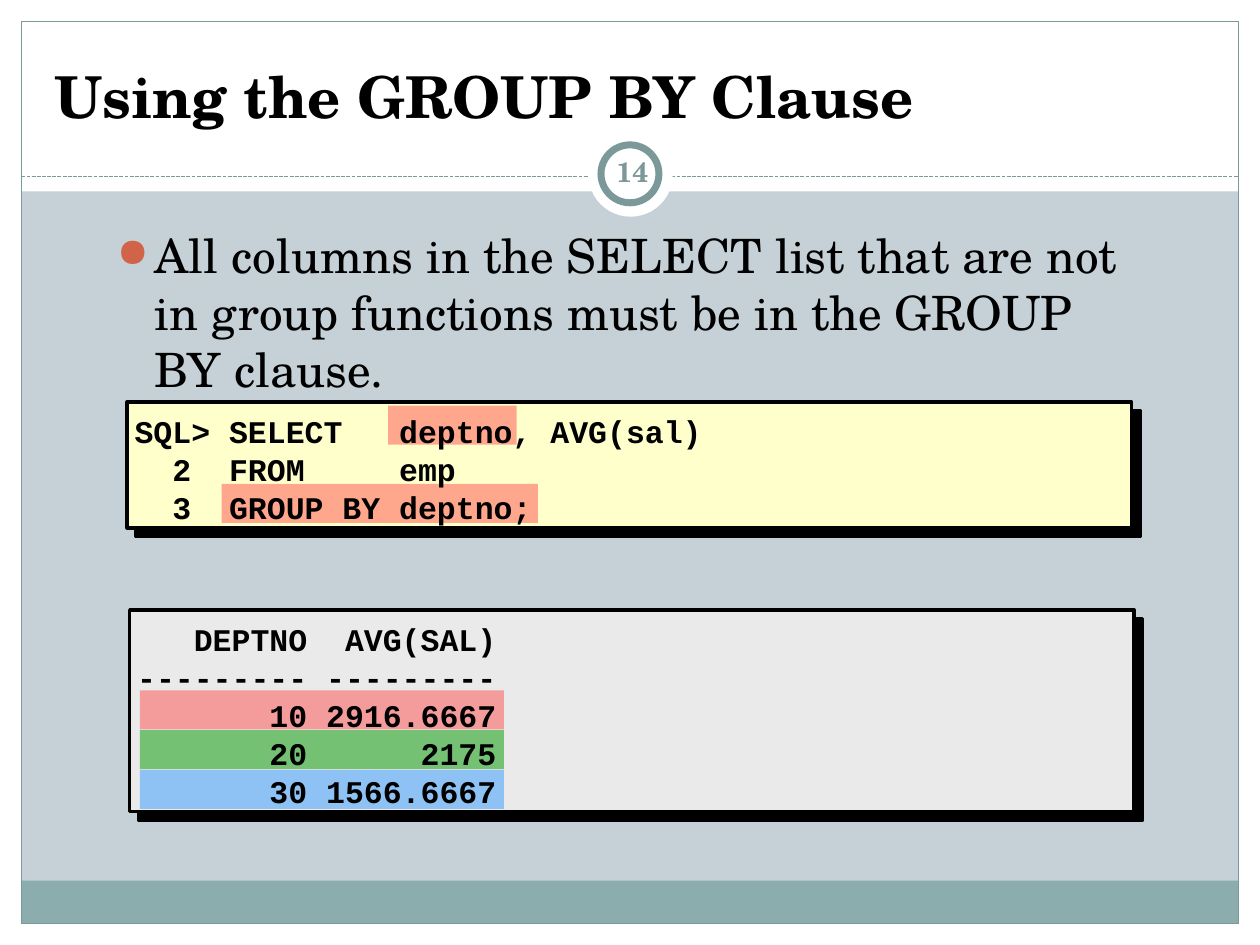
from lxml.etree import SubElement as Sub
from pptx import Presentation
from pptx.dml.color import RGBColor as Rgb
from pptx.enum.dml import MSO_LINE as Dash
from pptx.enum.shapes import MSO_CONNECTOR as Wire, MSO_SHAPE as Kind
from pptx.enum.text import MSO_ANCHOR as Anchor, MSO_AUTO_SIZE as Fit, PP_ALIGN as Align
from pptx.oxml.ns import qn
from pptx.util import Inches, Pt

COLS, ROWS = 10, 7.5
CELL = Inches(1)
SERIF, MONO = "TeX Gyre Schola", "Courier New"
HUES = {
    "back": "C5D1D7", "white": "FFFFFF", "black": "000000", "teal": "8CADAE",
    "edge": "7C999A", "dot": "D16349", "cream": "FFFFCC", "grey": "EAEAEA",
    "red": "FF5050", "green": "009900", "blue": "3399FF",
}


def hue(name):
    """Return the named colour."""
    return Rgb.from_string(HUES[name])


def span(*cells):
    """Turn grid cells into slide lengths."""
    return [int(cell * CELL) for cell in cells]


def block(slide, box, fill=None, line=None, width=1, kind=Kind.RECTANGLE):
    """Add a flat shape with an optional fill and outline."""
    shape = slide.shapes.add_shape(kind, *span(*box))
    shape.shadow.inherit = False
    if fill:
        shape.fill.solid()
        shape.fill.fore_color.rgb = hue(fill)
    else:
        shape.fill.background()
    if line:
        shape.line.color.rgb = hue(line)
        shape.line.width = Pt(width)
    else:
        shape.line.fill.background()
    return shape


def write(shape, text, size, font=SERIF, color="black", bold=False,
          anchor=Anchor.TOP, align=Align.LEFT, wrap=True):
    """Set the text of a shape and format its runs."""
    frame = shape.text_frame
    frame.text = text
    frame.word_wrap = wrap
    frame.auto_size = Fit.NONE
    frame.vertical_anchor = anchor
    for para in frame.paragraphs:
        para.alignment = align
        for run in para.runs:
            run.font.name, run.font.size, run.font.bold = font, Pt(size), bold
            run.font.color.rgb = hue(color)
    return frame


def backdrop(slide, edge):
    """Draw the white margins, the foot band, the border and the rule."""
    wide, high = COLS - 2 * edge, ROWS - 2 * edge
    for box in ((0, ROWS - edge, COLS, edge), (0, 0, COLS, 1.52),
                (0, 0, edge, ROWS), (COLS - edge, 0, edge, ROWS)):
        block(slide, box, "white")
    block(slide, (edge, 6.99, wide, 0.34), "teal")
    block(slide, (edge, edge, wide, high), line="edge", width=0.75)
    rule = slide.shapes.add_connector(Wire.STRAIGHT, *span(edge, 1.4, COLS - edge, 1.4))
    rule.line.color.rgb = hue("edge")
    rule.line.width = Pt(0.75)
    rule.line.dash_style = Dash.SQUARE_DOT
    Sub(rule._element.spPr, qn("a:effectLst"))


def badge(slide, box, number):
    """Draw the ringed page number."""
    left, top, wide, high = box
    block(slide, box, "white", kind=Kind.OVAL)
    block(slide, (left + 0.1, top + 0.1, wide - 0.21, high - 0.21),
          "white", "edge", 4, Kind.OVAL)
    label = slide.shapes.add_textbox(*span(left + 0.1, top + 0.07, 0.5, 0.48))
    frame = write(label, number, 16, color="edge", bold=True,
                  anchor=Anchor.MIDDLE, align=Align.CENTER)
    frame.margin_left = frame.margin_right = Inches(0.05)


def heading(slide, box, text):
    """Place the title in front of the backdrop."""
    title = slide.shapes.title
    title.left, title.top, title.width, title.height = span(*box)
    write(title, text, 33, bold=True, anchor=Anchor.BOTTOM)
    slide.shapes._spTree.append(title._element)


def bullet(slide, box, text):
    """Add one bulleted paragraph."""
    frame = write(slide.shapes.add_textbox(*span(*box)), text, 27)
    props = frame.paragraphs[0]._p.get_or_add_pPr()
    props.set("marL", str(Inches(0.3)))
    props.set("indent", str(-Inches(0.3)))
    Sub(Sub(props, qn("a:buClr")), qn("a:srgbClr"), val=HUES["dot"])
    Sub(props, qn("a:buSzPct"), val="85000")
    Sub(props, qn("a:buChar"), char="●")


def shade(shape):
    """Give a shape a hard black shadow to the lower right."""
    effects = shape._element.spPr.find(qn("a:effectLst"))
    drop = Sub(effects, qn("a:outerShdw"), dist=str(Pt(7.1)), dir="2700000",
               algn="ctr", rotWithShape="0")
    Sub(drop, qn("a:srgbClr"), val=HUES["black"])


def panel(slide, box, fill, lines, marks):
    """Draw a shadowed code panel with see-through marks behind its lines."""
    left, top, wide, high = box
    shade(block(slide, box, fill, "black", 2))
    for right, down, size, color in marks:
        mark = block(slide, (left + right, top + down, size, 0.31), color)
        tint = mark._element.spPr.find(qn("a:solidFill"))[0]
        Sub(tint, qn("a:alpha"), val="50000")
    label = slide.shapes.add_textbox(*span(left - 0.04, top + 0.03, wide, high))
    frame = write(label, "\n".join(lines), 18, MONO, bold=True,
                  anchor=Anchor.MIDDLE, wrap=False)
    for para in frame.paragraphs:
        para.line_spacing = Pt(21.7)


def main():
    """Build and save the slide."""
    deck = Presentation()
    deck.slide_width, deck.slide_height = span(COLS, ROWS)
    slide = deck.slides.add_slide(deck.slide_layouts[5])
    slide.background.fill.solid()
    slide.background.fill.fore_color.rgb = hue("back")
    backdrop(slide, 0.17)
    badge(slide, (4.67, 1.05, 0.67, 0.67), "14")
    heading(slide, (0.33, 0.25, 9.33, 0.83), "Using the GROUP BY Clause")
    bullet(slide, (0.83, 1.75, 8.29, 1.43),
           "All columns in the SELECT list that are not in group functions "
           "must be in the GROUP BY clause.")
    query = ["SQL> SELECT   deptno, AVG(sal)",
             "  2  FROM     emp",
             "  3  GROUP BY deptno;"]
    panel(slide, (1.01, 3.19, 7.97, 1), "cream", query,
          [(0.75, 0.65, 2.51, "red"), (2.07, 0.03, 1.02, "red")])
    result = ["   DEPTNO  AVG(SAL)",
              "--------- ---------",
              "       10 2916.6667",
              "       20      2175",
              "       30 1566.6667"]
    bands = [(0.08, 0.64 + 0.315 * row, 2.89, color)
             for row, color in enumerate(("red", "green", "blue"))]
    panel(slide, (1.03, 4.84, 7.97, 1.6), "grey", result, bands)
    deck.save("out.pptx")


if __name__ == "__main__":
    main()
